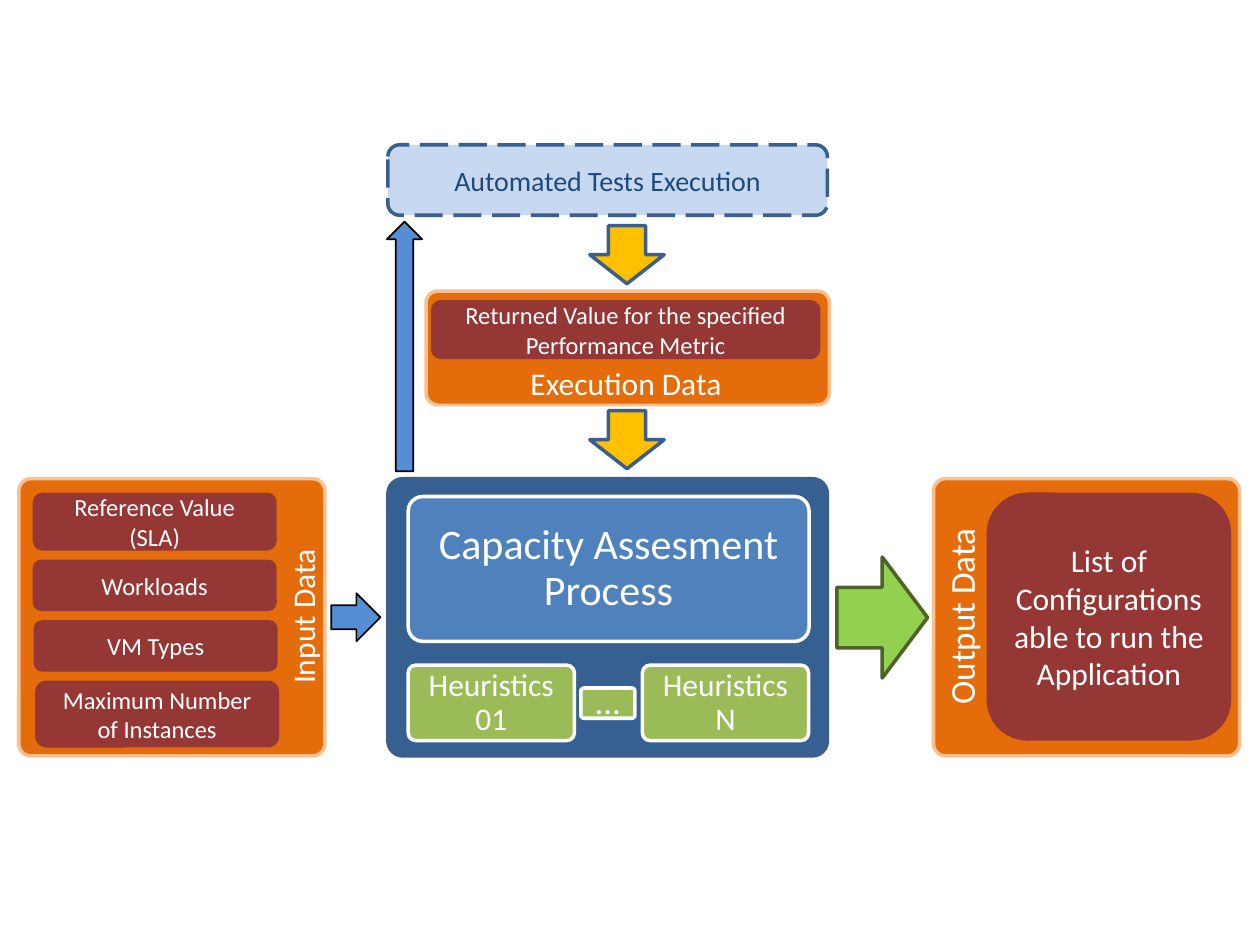
import pptx
import pptx.util
import pptx.dml.color
import pptx.enum.dml
import pptx.enum.shapes
import pptx.enum.text

Cm = pptx.util.Cm
Pt = pptx.util.Pt
kind = pptx.enum.shapes.MSO_SHAPE
ROUND = kind.ROUNDED_RECTANGLE
WHITE, NAVY, BLUE, ORANGE = "FFFFFF", "3A5F8C", "558ED5", "E46C0A"
PEACH, RED, GREEN = "FAC090", "953735", "9BBB59"

deck = pptx.Presentation()
deck.slide_width, deck.slide_height = Cm(25.4), Cm(19.05)
slide = deck.slides.add_slide(deck.slide_layouts[6])


def color(code):
    return pptx.dml.color.RGBColor.from_string(code)


def block(form, left, top, width, height, fill, line=None, weight=2,
          round=None, text="", size=14, ink=WHITE):
    shape = slide.shapes.add_shape(form, Cm(left), Cm(top), Cm(width), Cm(height))
    shape.shadow.inherit = False
    shape.fill.solid()
    shape.fill.fore_color.rgb = color(fill)
    if line:
        shape.line.color.rgb = color(line)
        shape.line.width = Pt(weight)
    else:
        shape.line.fill.background()
    if round:
        shape.adjustments[0] = round
    if text:
        frame = shape.text_frame
        frame.word_wrap = True
        frame.vertical_anchor = pptx.enum.text.MSO_ANCHOR.MIDDLE
        para = frame.paragraphs[0]
        para.text = text
        para.alignment = pptx.enum.text.PP_ALIGN.CENTER
        para.font.name = "Calibri"
        para.font.size = Pt(size)
        para.font.color.rgb = color(ink)
    return shape


block(ROUND, 7.82, 9.65, 8.86, 5.59, "376092", NAVY, round=0.054)
steps = [
    (8.23, 10.01, 8.08, 2.92, "4F81BD", "Capacity Assesment Process", 24),
    (8.23, 13.41, 3.35, 1.52, GREEN, "Heuristics 01", 18),
    (11.71, 13.87, 1.09, 0.61, GREEN, "...", 20),
    (12.95, 13.41, 3.35, 1.52, GREEN, "Heuristics N", 18),
]
for left, top, width, height, fill, text, size in steps:
    step = block(ROUND, left, top, width, height, fill, WHITE,
                 round=0.1, text=text, size=size)
    frame = step.text_frame
    frame.margin_left = frame.margin_right = Cm(0.2)
    frame.margin_top = frame.margin_bottom = Cm(0.2)
    frame.paragraphs[0].line_spacing = 0.9

tests = block(ROUND, 7.82, 2.92, 8.86, 1.42, "C6D9F1", NAVY,
              text="Automated Tests Execution", size=16, ink="1F497D")
tests.line.dash_style = pptx.enum.dml.MSO_LINE.LONG_DASH

block(ROUND, 8.59, 5.87, 8.13, 2.29, ORANGE, PEACH, round=0.1)
block(ROUND, 8.69, 6.05, 7.85, 1.19, RED,
      text="Returned Value for the specified Performance Metric")
block(ROUND, 8.72, 7.28, 7.8, 0.86, ORANGE, text="Execution Data", size=18)

for left in (0.38, 18.82):
    block(ROUND, left, 9.65, 6.17, 5.59, ORANGE, PEACH, round=0.044)
labels = [(5.72, 0.76, "Input Data", 18), (18.95, 0.84, "Output Data", 20)]
for left, width, text, size in labels:
    label = block(ROUND, left, 9.93, width, 5, ORANGE, text=text, size=size)
    label.text_frame._txBody.bodyPr.set("vert", "vert270")

inputs = [
    (0.66, 9.93, 1.17, "Reference Value (SLA)"),
    (0.66, 11.28, 1.04, "Workloads"),
    (0.68, 12.5, 1.04, "VM Types"),
    (0.71, 13.72, 1.35, "Maximum Number of Instances"),
]
for left, top, height, text in inputs:
    block(ROUND, left, top, 4.92, height, RED, text=text)
block(ROUND, 19.89, 9.93, 4.93, 5, RED, size=18,
      text="List of Configurations able to run the Application")

block(kind.RIGHT_ARROW, 6.68, 11.96, 0.99, 0.97, BLUE, "000000", 1)
block(kind.UP_ARROW, 7.8, 4.47, 0.71, 5.03, BLUE, "000000", 1)
block(kind.RIGHT_ARROW, 16.87, 11.23, 1.83, 2.44, "92D050", "4F6228")
for top in (4.55, 8.28):
    block(kind.DOWN_ARROW, 11.89, top, 1.5, 1.17, "FFC000", NAVY)

deck.save("out.pptx")
